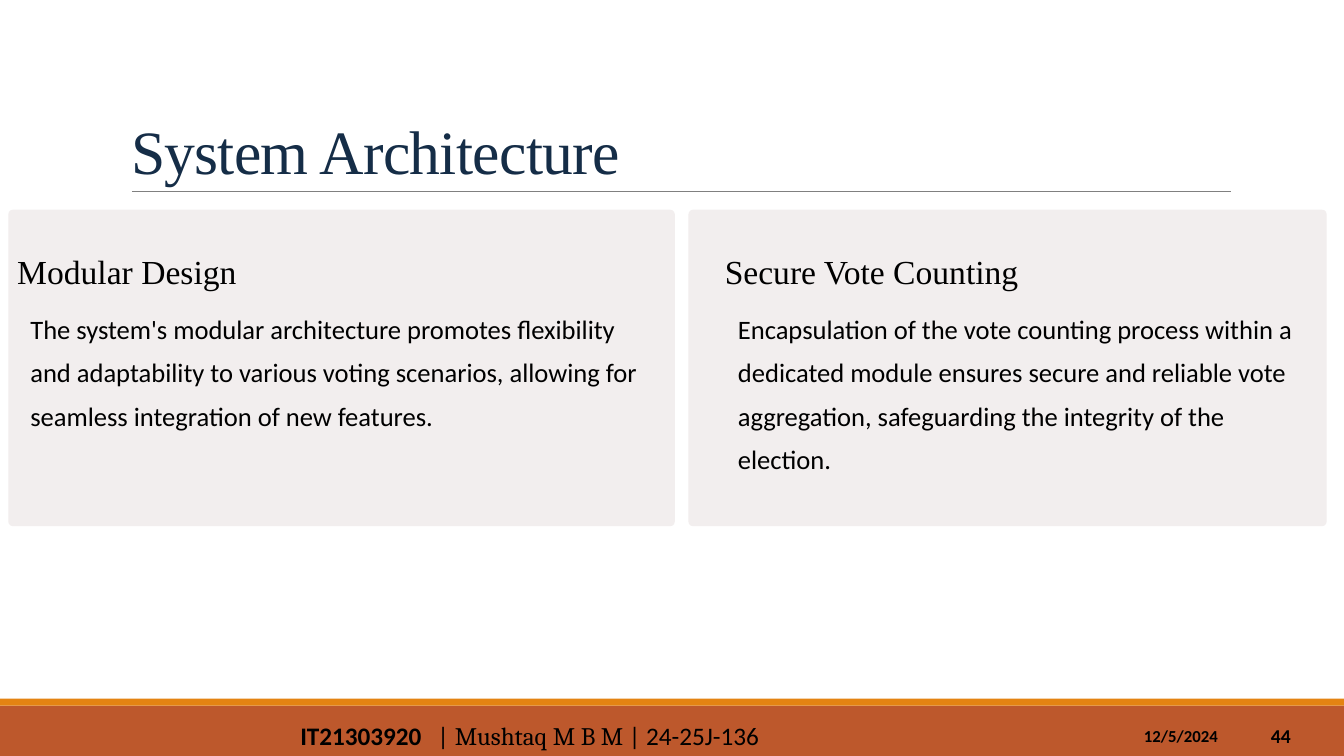
"""Build the System Architecture slide with two text cards and a footer band."""
from pptx import Presentation
from pptx.dml.color import RGBColor
from pptx.enum import shapes, text
from pptx.oxml import ns
from pptx.util import Pt
from lxml import etree

SANS, SERIF = "Calibri", "Times New Roman"
BLACK = "000000"
TITLE = "System Architecture"
CARDS = [
    (6, 476, 12.3, 439.2, "Modular Design",
     "The system's modular architecture promotes flexibility and adaptability "
     "to various voting scenarios, allowing for seamless integration of new features."),
    (491.8, 455.8, 517.7, 411.1, "Secure Vote Counting",
     "Encapsulation of the vote counting process within a dedicated module ensures "
     "secure and reliable vote aggregation, safeguarding the integrity of the election."),
]
BANDS = [(504, 36, "BD582C"), (499, 5, "E48312")]
FOOTER = [("IT21303920", SANS, True), ("\t| ", SANS, False),
          ("Mushtaq M B M ", "Cambria", False), ("| 24-25J-136", SANS, False)]
FOOTER_TAB = 98
DATE, NUMBER = "12/5/2024", "44"
WIDTH, HEIGHT = 960, 540
CARD_TOP, CARD_HEIGHT = 149.8, 226
HEADING_TOP, BODY_TOP, BODY_INDENT = 177.8, 215.3, 9.4


def color(value):
    return RGBColor.from_string(value)


def style(r, size, name=SANS, fill=BLACK, bold=False):
    r.font.size, r.font.name, r.font.bold = Pt(size), name, bold
    r.font.color.rgb = color(fill)


def add_box(s, kind, x, y, w, h, fill):
    sp = s.shapes.add_shape(kind, Pt(x), Pt(y), Pt(w), Pt(h))
    sp.shadow.inherit = False
    sp.fill.solid()
    sp.fill.fore_color.rgb = color(fill)
    sp.line.fill.background()
    return sp


def add_text(s, x, y, w, h, runs, size, spacing=None, inset=True, wrap=True, middle=False):
    tf = s.shapes.add_textbox(Pt(x), Pt(y), Pt(w), Pt(h)).text_frame
    tf.word_wrap = wrap
    if middle:
        tf.vertical_anchor = text.MSO_ANCHOR.MIDDLE
    if not inset:
        tf.margin_left = tf.margin_top = tf.margin_right = tf.margin_bottom = 0
    p = tf.paragraphs[0]
    if spacing:
        p.line_spacing = Pt(spacing)
    for words, name, bold in runs:
        r = p.add_run()
        r.text = words
        style(r, size, name, bold=bold)
    return p


def add_title(s):
    sp = s.shapes.title
    sp.left, sp.top, sp.width, sp.height = Pt(86.4), Pt(22.3), Pt(792), Pt(114.5)
    tf = sp.text_frame
    tf.text = TITLE
    tf.auto_size = text.MSO_AUTO_SIZE.NONE
    tf.vertical_anchor = text.MSO_ANCHOR.BOTTOM
    p = tf.paragraphs[0]
    p.alignment = text.PP_ALIGN.LEFT
    p.line_spacing = Pt(60.5)
    r = p.runs[0]
    style(r, 44, SERIF, "152D47")
    r.font._element.set("spc", "-50")


def add_rule(s):
    line = s.shapes.add_connector(shapes.MSO_CONNECTOR.STRAIGHT,
                                  Pt(94.3), Pt(136.8), Pt(879), Pt(136.8))
    line.line.color.rgb = color("808080")
    line.line.width = Pt(0.5)
    etree.SubElement(line._element.spPr, ns.qn("a:effectLst"))


def add_card(s, x, w, text_x, body_w, heading, body):
    sp = add_box(s, shapes.MSO_SHAPE.ROUNDED_RECTANGLE, x, CARD_TOP, w, CARD_HEIGHT, "F2EEEE")
    sp.adjustments[0] = 0.014
    add_text(s, text_x, HEADING_TOP, 231.8, 33, [(heading, SERIF, False)], 24, 30,
             inset=False, wrap=False)
    add_text(s, text_x + BODY_INDENT, BODY_TOP, body_w, 136.8, [(body, SANS, False)], 19, 31,
             inset=False)


def add_footer(s):
    p = add_text(s, 207.4, 511.2, 536.4, 28.8, FOOTER, 18, middle=True)
    tabs = etree.SubElement(p._p.get_or_add_pPr(), ns.qn("a:tabLst"))
    etree.SubElement(tabs, ns.qn("a:tab"), pos=str(Pt(FOOTER_TAB)), algn="l")
    add_text(s, 810, 514.8, 84.2, 21.6, [(DATE, SANS, True)], 12)
    add_text(s, 900.7, 511.2, 53.3, 28.8, [(NUMBER, SANS, True)], 14, middle=True)


def main():
    prs = Presentation()
    prs.slide_width, prs.slide_height = Pt(WIDTH), Pt(HEIGHT)
    s = prs.slides.add_slide(prs.slide_layouts[5])
    for y, h, fill in BANDS:
        add_box(s, shapes.MSO_SHAPE.RECTANGLE, 0, y, WIDTH, h, fill)
    add_rule(s)
    add_title(s)
    for card in CARDS:
        add_card(s, *card)
    add_footer(s)
    prs.save("out.pptx")


if __name__ == "__main__":
    main()
